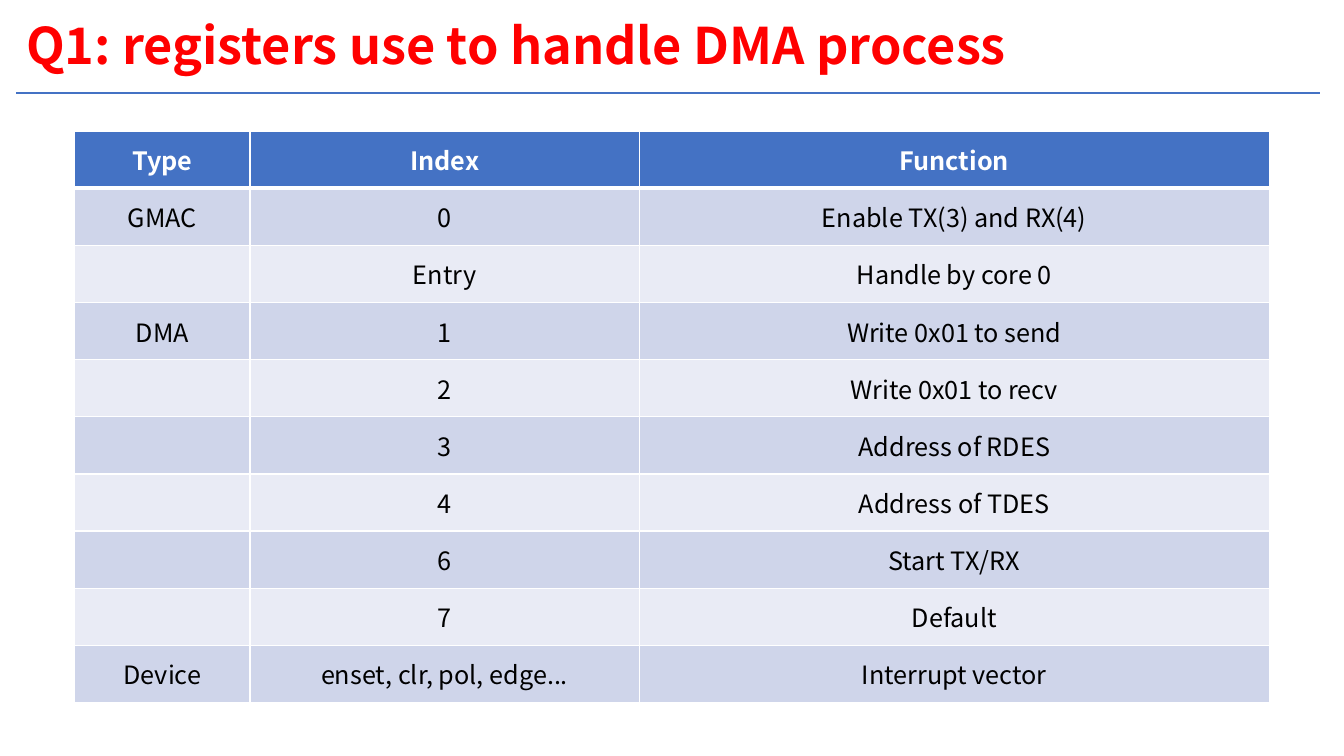
"""Build a slide listing the registers that handle the DMA process."""
import pptx
import pptx.dml.color
import pptx.enum.shapes
import pptx.enum.text
import pptx.oxml.ns
import pptx.util
from lxml import etree

Inches = pptx.util.Inches
Pt = pptx.util.Pt
RGBColor = pptx.dml.color.RGBColor
qn = pptx.oxml.ns.qn

FONT = "Noto Sans CJK SC"
RED = RGBColor(0xFF, 0x00, 0x00)
BLUE = RGBColor(0x44, 0x72, 0xC4)
WHITE = RGBColor(0xFF, 0xFF, 0xFF)
BLACK = RGBColor(0x00, 0x00, 0x00)
BANDS = (RGBColor(0xE9, 0xEB, 0xF5), RGBColor(0xCF, 0xD5, 0xEA))

COLUMN_WIDTHS = (1.74, 3.86, 6.25)
REGISTERS = (
    ("Type", "Index", "Function"),
    ("GMAC", "0", "Enable TX(3) and RX(4)"),
    ("", "Entry", "Handle by core 0"),
    ("DMA", "1", "Write 0x01 to send"),
    ("", "2", "Write 0x01 to recv"),
    ("", "3", "Address of RDES"),
    ("", "4", "Address of TDES"),
    ("", "6", "Start TX/RX"),
    ("", "7", "Default"),
    ("Device", "enset, clr, pol, edge...", "Interrupt vector"),
)


def set_font(paragraph, size, color, bold):
    """Set the font of a whole paragraph."""
    font = paragraph.font
    font.name, font.size, font.bold = FONT, Pt(size), bold
    font.color.rgb = color


def set_borders(cell, top, bottom):
    """Draw white cell borders, with top and bottom widths in points."""
    properties = cell._tc.get_or_add_tcPr()
    for side, width in (("L", 1), ("R", 1), ("T", top), ("B", bottom)):
        line = etree.SubElement(properties, qn(f"a:ln{side}"), w=str(Pt(width)))
        fill = etree.SubElement(line, qn("a:solidFill"))
        etree.SubElement(fill, qn("a:srgbClr"), val=str(WHITE))


def add_heading(slide, left, top, width, height):
    """Add the title with the rule below it."""
    title = slide.shapes.add_textbox(
        Inches(left), Inches(top), Inches(width), Inches(height - 0.12))
    title.text_frame.word_wrap = True
    paragraph = title.text_frame.paragraphs[0]
    paragraph.text = "Q1: registers use to handle DMA process"
    set_font(paragraph, 36, RED, True)

    rule_top = Inches(top + height)
    rule = slide.shapes.add_connector(
        pptx.enum.shapes.MSO_CONNECTOR.STRAIGHT,
        Inches(left), rule_top, Inches(left + width - 0.07), rule_top)
    rule.line.color.rgb = BLUE
    rule.line.width = Pt(1.5)
    etree.SubElement(rule._element.spPr, qn("a:effectLst"))


def add_register_table(slide, left, top, width, height):
    """Add the register table with a header and banded rows."""
    table = slide.shapes.add_table(
        len(REGISTERS), len(COLUMN_WIDTHS),
        Inches(left), Inches(top), Inches(width), Inches(height)).table
    for column, share in zip(table.columns, COLUMN_WIDTHS):
        column.width = Inches(width * share / sum(COLUMN_WIDTHS))
    for row_index, texts in enumerate(REGISTERS):
        header = row_index == 0
        for column_index, text in enumerate(texts):
            cell = table.cell(row_index, column_index)
            set_borders(cell, 3 if row_index == 1 else 1, 3 if header else 1)
            cell.fill.solid()
            cell.fill.fore_color.rgb = BLUE if header else BANDS[row_index % 2]
            cell.vertical_anchor = pptx.enum.text.MSO_ANCHOR.MIDDLE
            paragraph = cell.text_frame.paragraphs[0]
            paragraph.text = text
            paragraph.alignment = pptx.enum.text.PP_ALIGN.CENTER
            set_font(paragraph, 18, WHITE if header else BLACK, header)


def main():
    """Create the presentation and save it."""
    presentation = pptx.Presentation()
    presentation.slide_width = Inches(13.33)
    presentation.slide_height = Inches(7.5)
    slide = presentation.slides.add_slide(presentation.slide_layouts[6])
    add_heading(slide, 0.16, 0.09, 13, 0.83)
    add_register_table(slide, 0.74, 1.3, 11.85, 5.67)
    presentation.save("out.pptx")


main()
